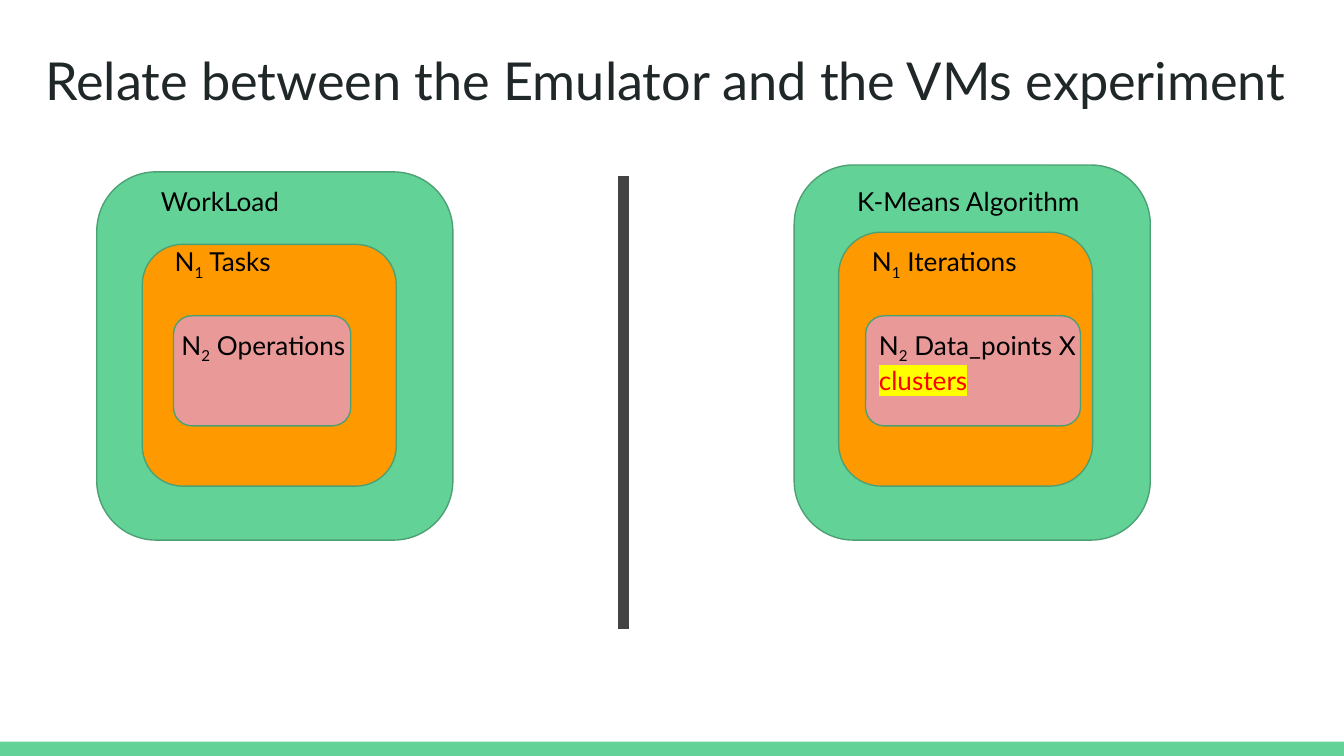
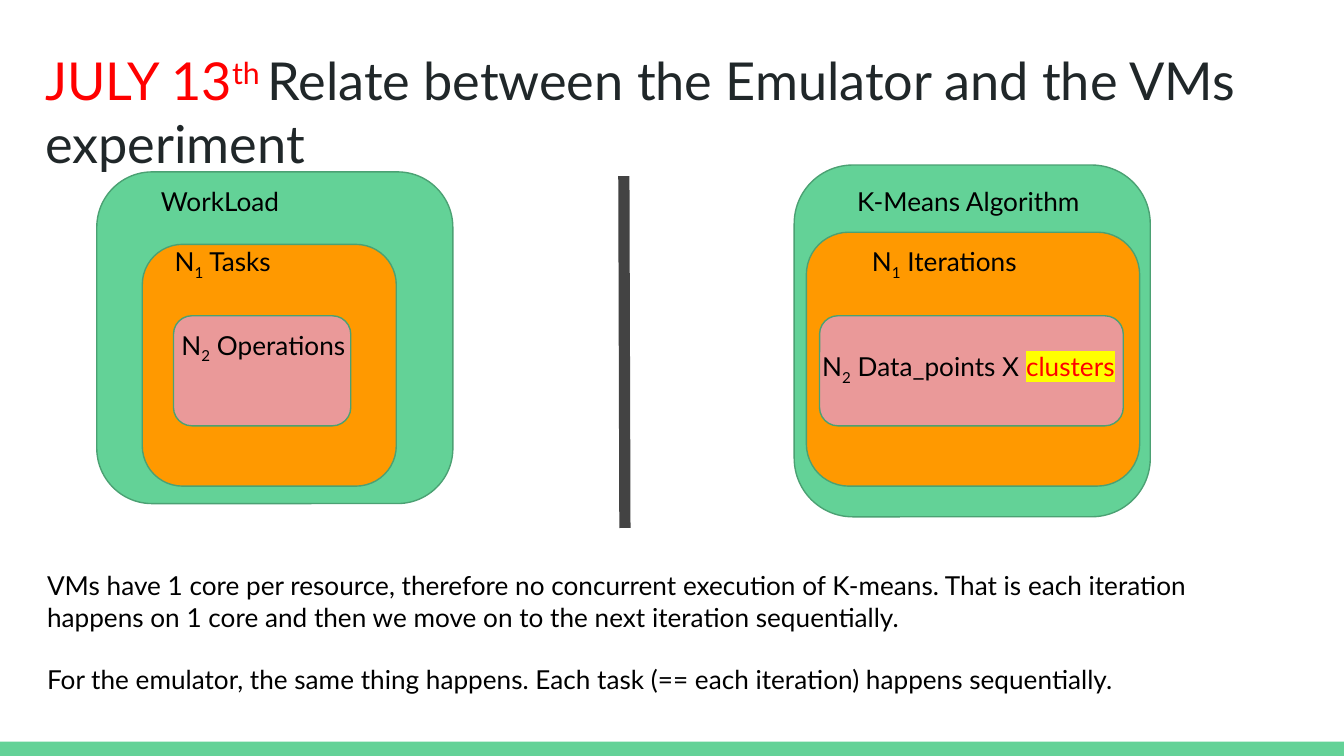
from dataclasses import dataclass
from typing import NamedTuple

from lxml import etree
from pptx import Presentation
from pptx.dml.color import RGBColor
from pptx.enum.shapes import MSO_CONNECTOR, MSO_SHAPE
from pptx.enum.text import MSO_ANCHOR
from pptx.oxml.ns import qn
from pptx.util import Cm, Pt

RECT = MSO_SHAPE.RECTANGLE
ROUND = MSO_SHAPE.ROUNDED_RECTANGLE
STRAIGHT = MSO_CONNECTOR.STRAIGHT
TOP = MSO_ANCHOR.TOP

FONT = "Lato"
INSET = 0.25
COLORS = {
    "green": "63D297", "orange": "FF9900", "pink": "EA9999",
    "outline": "4BA173", "divider": "434343", "title": "202729",
    "black": "000000", "red": "FF0000", "yellow": "FFFF00",
}


class Box(NamedTuple):
    x: float
    y: float
    w: float
    h: float


class Run(NamedTuple):
    text: str
    color: str = ""
    baseline: int = 0
    highlight: str = ""


@dataclass(frozen=True)
class Layer:
    fill: str
    box: Box
    runs: list[Run]
    label: Box


def rgb(name: str) -> RGBColor:
    return RGBColor.from_string(COLORS[name])


def add_text(s, box: Box, paragraphs: list[list[Run]], *, size: float = 14,
             color: str = "black", gap: float = 0):
    """Text box with one list of runs per paragraph; gap is in points."""
    tb = s.shapes.add_textbox(*map(Cm, box))
    tf = tb.text_frame
    tf.word_wrap = True
    tf.vertical_anchor = TOP
    tf.margin_left = tf.margin_right = Cm(INSET)
    tf.margin_top = tf.margin_bottom = Cm(INSET)
    for i, runs in enumerate(paragraphs):
        p = tf.paragraphs[0] if i == 0 else tf.add_paragraph()
        p.space_before = Pt(gap if i else 0)
        for run in runs:
            r = p.add_run()
            r.text = run.text
            r.font.size = Pt(size)
            r.font.color.rgb = rgb(run.color or color)
            r_pr = r.font._element
            if run.baseline:
                r_pr.set("baseline", str(run.baseline * 1000))
            if run.highlight:
                hl = etree.SubElement(r_pr, qn("a:highlight"))
                etree.SubElement(hl, qn("a:srgbClr"), val=COLORS[run.highlight])
            r.font.name = FONT
    return tb


def add_block(s, kind, box: Box, fill: str, outline: str = ""):
    sp = s.shapes.add_shape(kind, *map(Cm, box))
    sp.shadow.inherit = False
    sp.fill.solid()
    sp.fill.fore_color.rgb = rgb(fill)
    if outline:
        sp.line.color.rgb = rgb(outline)
        sp.line.width = Pt(0.75)
    else:
        sp.line.fill.background()
    return sp


def add_panel(s, layers: list[Layer]) -> None:
    """Nested blocks first, then their labels on top."""
    for layer in layers:
        add_block(s, ROUND, layer.box, layer.fill, "outline")
    for layer in layers:
        add_text(s, layer.label, [layer.runs])


def add_divider(s, x1: float, y1: float, x2: float, y2: float) -> None:
    line = s.shapes.add_connector(STRAIGHT, Cm(x1), Cm(y1), Cm(x2), Cm(y2))
    line.line.color.rgb = rgb("divider")
    line.line.width = Pt(6)
    etree.SubElement(line._element.spPr, qn("a:effectLst"))


def counted(index: str, text: str) -> list[Run]:
    return [Run("N"), Run(index, baseline=-25), Run(text)]


def workload(height: float) -> list[Layer]:
    return [
        Layer("green", Box(1.83, 3.25, 6.73, height),
              [Run("WorkLoad")], Box(2.79, 3.25, 4.29, 0.51)),
        Layer("orange", Box(2.69, 4.62, 4.8, 4.57),
              counted("1", " Tasks"), Box(3.05, 4.39, 4.29, 0.51)),
        Layer("pink", Box(3.28, 5.97, 3.35, 2.08),
              counted("2", " Operations"), Box(3.18, 5.97, 4.29, 0.51)),
    ]


def k_means(height: float, iterations: Box, points: Box,
            points_label: Box) -> list[Layer]:
    clusters = Run("clusters", "red", highlight="yellow")
    return [
        Layer("green", Box(15.01, 3.12, 6.73, height),
              [Run("K-Means Algorithm")], Box(15.95, 3.25, 4.93, 0.51)),
        Layer("orange", iterations,
              counted("1", " Iterations"), Box(16.23, 4.39, 4.29, 0.51)),
        Layer("pink", points,
              counted("2", " Data_points X ") + [clusters], points_label),
    ]


def add_slide(prs, title: list[Run]):
    """Blank slide with the footer band and the title."""
    s = prs.slides.add_slide(prs.slide_layouts[6])
    add_block(s, RECT, Box(0, 14.02, 25.4, 0.27), "green")
    add_text(s, Box(0.61, 0.66, 24.56, 1.6), [title], size=28, color="title")
    return s


def main() -> None:
    prs = Presentation()
    prs.slide_width, prs.slide_height = Cm(25.4), Cm(14.29)
    heading = Run("Relate between the Emulator and the VMs experiment")

    # Slide 1: emulator and experiment side by side
    s = add_slide(prs, [heading])
    add_panel(s, workload(6.96))
    add_panel(s, k_means(7.09, Box(15.85, 4.39, 4.8, 4.8),
                         Box(16.36, 5.97, 4.06, 2.08),
                         Box(16.36, 5.97, 4.29, 0.51)))
    add_divider(s, 11.79, 3.33, 11.79, 11.89)

    # Slide 2: dated version with explanation
    s = add_slide(prs, [Run("JULY 13", "red"), Run("th ", "red", 30), heading])
    add_panel(s, workload(6.27))
    add_panel(s, k_means(6.65, Box(15.24, 4.39, 6.3, 4.8),
                         Box(15.49, 5.97, 5.74, 2.08),
                         Box(15.29, 6.38, 7.39, 0.51)))
    add_divider(s, 11.79, 3.33, 11.81, 9.98)
    add_text(s, Box(0.64, 10.52, 22.25, 2.59), [
        [Run("VMs have 1 core per resource, therefore no concurrent execution "
             "of K-means. That is each iteration happens on 1 core and then "
             "we move on to the next iteration sequentially.")],
        [Run("For the emulator, the same thing happens. Each task "
             "(== each iteration) happens sequentially.")],
    ], gap=16.8)

    prs.save("out.pptx")


if __name__ == "__main__":
    main()
